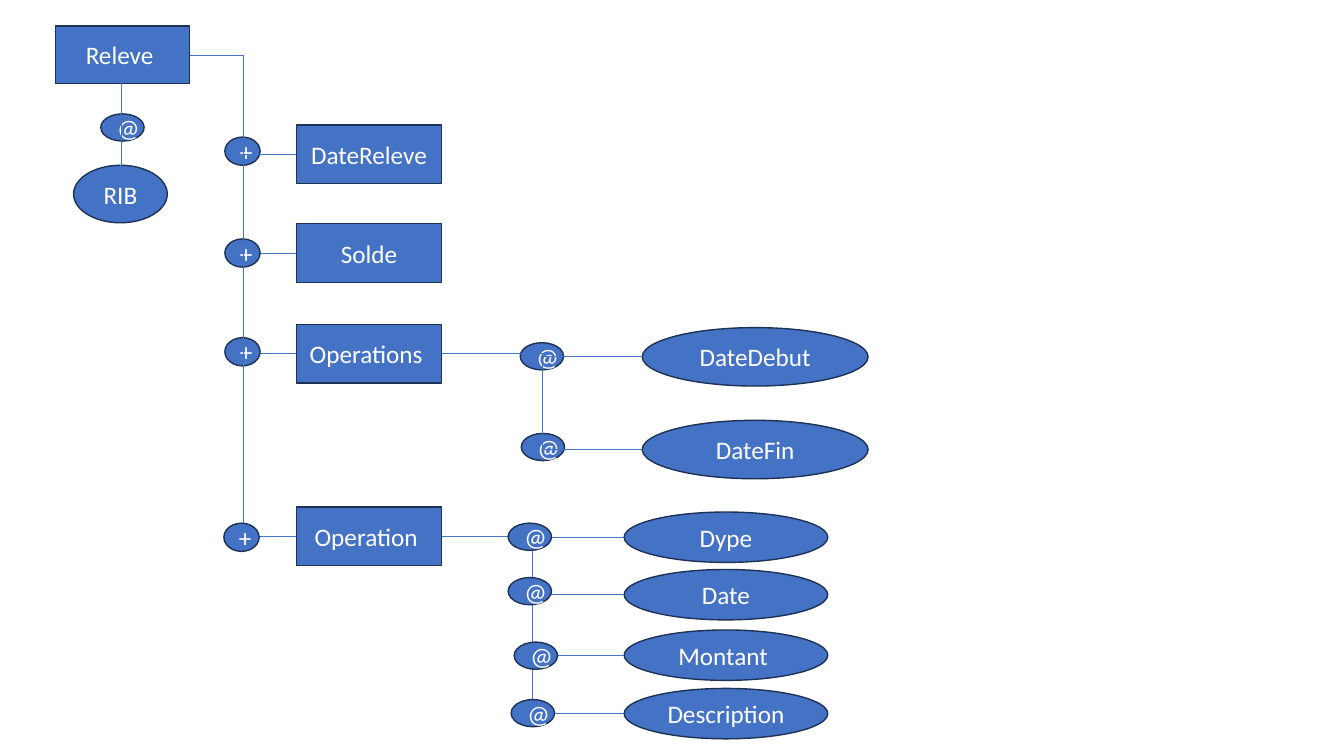
from collections import namedtuple
from dataclasses import dataclass

from pptx import Presentation
from pptx.dml.color import RGBColor
from pptx.enum.shapes import MSO_CONNECTOR, MSO_SHAPE
from pptx.enum.text import MSO_ANCHOR, PP_ALIGN
from pptx.oxml.ns import qn
from pptx.util import Inches, Pt

RECTANGLE = MSO_SHAPE.RECTANGLE
OVAL = MSO_SHAPE.FLOWCHART_CONNECTOR
ELBOW = MSO_CONNECTOR.ELBOW
MIDDLE = MSO_ANCHOR.MIDDLE
CENTER = PP_ALIGN.CENTER

RECTANGLE_RIGHT, RECTANGLE_BOTTOM = 3, 2
RECTANGLE_LEFT, OVAL_TOP, OVAL_LEFT = 1, 0, 2

Box = namedtuple("Box", "left top width height")


@dataclass(frozen=True)
class Theme:
    fill: RGBColor = RGBColor(0x44, 0x72, 0xC4)
    outline: RGBColor = RGBColor(0x1E, 0x32, 0x56)
    text: RGBColor = RGBColor(0xFF, 0xFF, 0xFF)
    font: str = "Calibri"
    size: Pt = Pt(18)
    outline_width: Pt = Pt(1)
    link_width: Pt = Pt(0.5)


THEME = Theme()
FONT_FORMAT = {"name": THEME.font, "size": THEME.size}
ELEMENT_SIZE = (1.44, 0.58)
MARKER_SIZES = {"+": (0.35, 0.28), "@": (0.43, 0.27)}


def add_node(slide, kind, text, box, left, top, size):
    shape = slide.shapes.add_shape(
        kind, Inches(box.left + left), Inches(box.top + top), *map(Inches, size)
    )
    shape.shadow.inherit = False
    shape.fill.solid()
    shape.fill.fore_color.rgb = THEME.fill
    shape.line.color.rgb = THEME.outline
    shape.line.width = THEME.outline_width
    shape.text_frame.vertical_anchor = MIDDLE
    paragraph = shape.text_frame.paragraphs[0]
    paragraph.alignment = CENTER
    run = paragraph.add_run()
    run.text = text
    for name, value in FONT_FORMAT.items():
        setattr(run.font, name, value)
    run.font.color.rgb = THEME.text
    return shape


def add_markers(slide, symbol, box, offsets):
    for left, top in offsets:
        add_node(slide, OVAL, symbol, box, left, top, MARKER_SIZES[symbol])


def add_link(slide, parent, child, begin_site, end_site):
    connector = slide.shapes.add_connector(ELBOW, 0, 0, 0, 0)
    connector.begin_connect(parent, begin_site)
    connector.end_connect(child, end_site)
    if end_site == OVAL_LEFT:
        connector.end_x = child.left
        connector.end_y = child.top + child.height // 2
    connector.line.color.rgb = THEME.fill
    connector.line.width = THEME.link_width
    properties = connector._element.spPr
    properties.append(properties.makeelement(qn("a:effectLst"), {}))


def add_root(slide, box):
    releve = add_node(slide, RECTANGLE, "Releve ", box, 0, 0, (box.width, 0.57))
    rib = add_node(slide, OVAL, "RIB", box, 0.18, 1.38, (0.93, 0.57))
    add_markers(slide, "@", box, [(0.45, 0.87)])
    add_link(slide, releve, rib, RECTANGLE_BOTTOM, OVAL_TOP)
    return releve


def add_elements(slide, box, releve):
    column = box.width - ELEMENT_SIZE[0]
    rows = {"DateReleve": 0, "Solde": 0.98, "Operations ": 1.98, "Operation ": 3.79}
    elements = [
        add_node(slide, RECTANGLE, name, box, column, top, ELEMENT_SIZE)
        for name, top in rows.items()
    ]
    add_markers(slide, "+", box, [(0.01, 0.12)])
    for element in elements[:3]:
        add_link(slide, releve, element, RECTANGLE_RIGHT, RECTANGLE_LEFT)
    add_markers(slide, "+", box, [(0.01, 1.13), (0.01, 2.11)])
    add_link(slide, releve, elements[3], RECTANGLE_RIGHT, RECTANGLE_LEFT)
    add_markers(slide, "+", box, [(0, 3.95)])
    return elements[2:]


def add_attributes(slide, box, parent, rows, size, markers, markers_on_top):
    column = box.width - size[0]
    attributes = [
        add_node(slide, OVAL, name, box, column, top, size)
        for name, top in rows.items()
    ]
    if not markers_on_top:
        add_markers(slide, "@", box, markers)
    for attribute in attributes:
        add_link(slide, parent, attribute, RECTANGLE_RIGHT, OVAL_LEFT)
    if markers_on_top:
        add_markers(slide, "@", box, markers)


def main():
    presentation = Presentation()
    presentation.slide_width = Inches(13.33)
    presentation.slide_height = Inches(7.5)
    slide = presentation.slides.add_slide(presentation.slide_layouts[6])

    releve = add_root(slide, Box(0.55, 0.26, 1.33, 1.95))
    operations, operation = add_elements(slide, Box(2.22, 1.24, 2.16, 4.37), releve)
    add_attributes(
        slide, Box(5.16, 3.25, 3.45, 1.5), operations,
        rows={"DateDebut": 0, "DateFin": 0.92},
        size=(2.24, 0.58),
        markers=[(0, 0.15), (0.01, 1.05)],
        markers_on_top=False,
    )
    add_attributes(
        slide, Box(5.04, 5.08, 3.17, 2.25), operation,
        rows={"Dype": 0, "Date": 0.57, "Montant ": 1.17, "Description": 1.75},
        size=(2.02, 0.5),
        markers=[(0, 0.11), (0, 0.65), (0.06, 1.29), (0.03, 1.86)],
        markers_on_top=True,
    )
    presentation.save("out.pptx")


if __name__ == "__main__":
    main()
